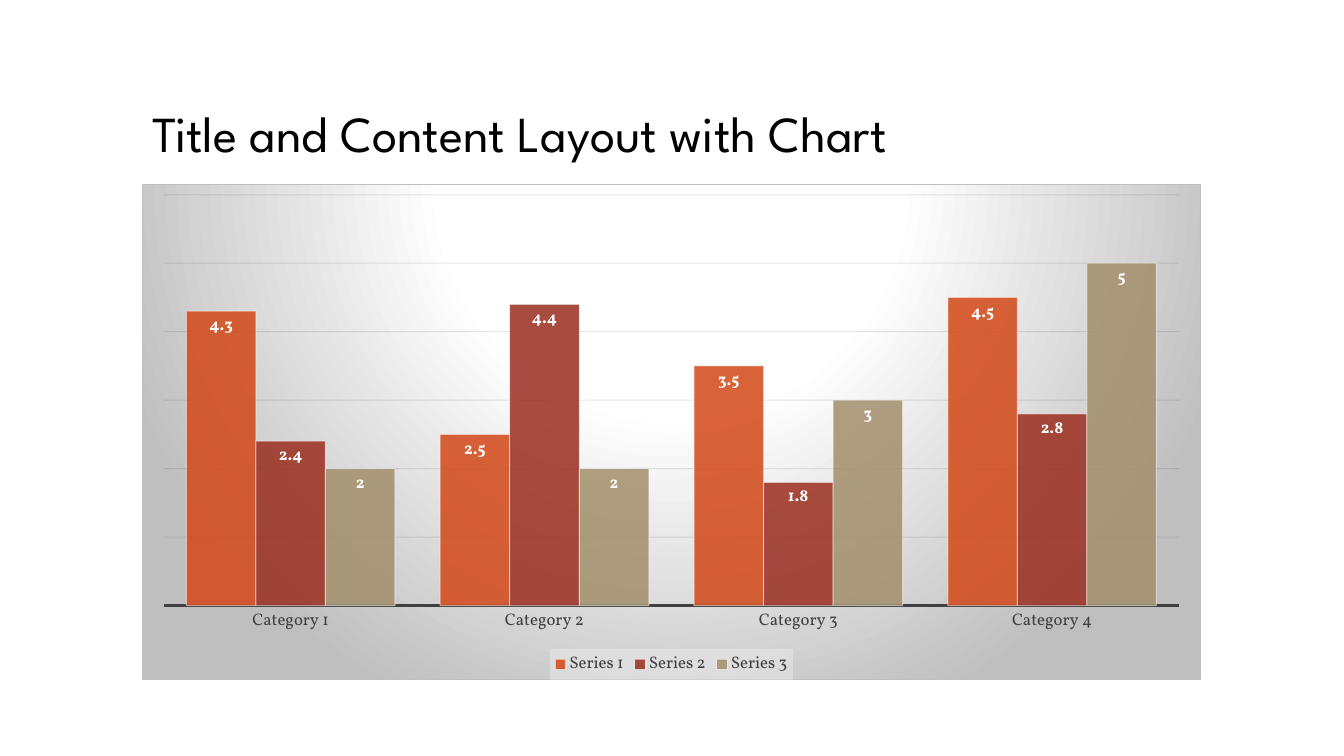
from lxml import etree
from pptx import Presentation
from pptx.chart.data import CategoryChartData
from pptx.dml.color import RGBColor
from pptx.enum.chart import XL_CHART_TYPE, XL_LABEL_POSITION, XL_LEGEND_POSITION, XL_TICK_MARK
from pptx.enum.text import MSO_ANCHOR, PP_ALIGN
from pptx.oxml import parse_xml
from pptx.oxml.ns import nsdecls, qn
from pptx.util import Inches, Pt

COLUMNS = XL_CHART_TYPE.COLUMN_CLUSTERED
INSIDE_END = XL_LABEL_POSITION.INSIDE_END
BOTTOM_LEGEND = XL_LEGEND_POSITION.BOTTOM
NO_TICKS = XL_TICK_MARK.NONE

BLACK = RGBColor(0x00, 0x00, 0x00)
WHITE = RGBColor(0xFF, 0xFF, 0xFF)
GREY = RGBColor(0x40, 0x40, 0x40)
GRID = RGBColor(0x0D, 0x0D, 0x0D)
ORANGE = RGBColor(0xD3, 0x48, 0x17)
RED = RGBColor(0x9B, 0x2D, 0x1F)
TAN = RGBColor(0xA2, 0x8E, 0x6A)

TITLE_FONT = "League Spartan"
CHART_FONT = "Vollkorn"


def set_font(font, size, color, bold=False):
    font.name = CHART_FONT
    font.size = Pt(size)
    font.bold = bold
    font.color.rgb = color


def set_alpha(chart_space, xpath, percent):
    for color in chart_space.xpath(xpath + "/a:solidFill/a:srgbClr"):
        etree.SubElement(color, qn("a:alpha"), val=str(percent * 1000))


prs = Presentation()
prs.slide_width = Inches(13.33)
prs.slide_height = Inches(7.5)
slide = prs.slides.add_slide(prs.slide_layouts[5])

# Title
title = slide.shapes.title
title.left, title.top = Inches(1.41), Inches(0.42)
title.width, title.height = Inches(10.5), Inches(1.25)
title.text_frame.vertical_anchor = MSO_ANCHOR.BOTTOM
heading = title.text_frame.paragraphs[0]
heading.alignment = PP_ALIGN.LEFT
heading.line_spacing = 0.9
heading_run = heading.add_run()
heading_run.text = "Title and Content Layout with Chart"
heading_run.font.name = TITLE_FONT
heading_run.font.size = Pt(36)
heading_run.font.color.rgb = BLACK

# Chart data
data = CategoryChartData()
data.categories = [f"Category {n}" for n in range(1, 5)]
data.add_series("Series 1", (4.3, 2.5, 3.5, 4.5))
data.add_series("Series 2", (2.4, 4.4, 1.8, 2.8))
data.add_series("Series 3", (2, 2, 3, 5))
chart = slide.shapes.add_chart(
    COLUMNS, Inches(1.41), Inches(1.83), Inches(10.5), Inches(4.92), data
).chart
chart.has_title = False
set_font(chart.font, 10, BLACK)

# Columns and value labels
columns = chart.plots[0]
columns.gap_width = 65
columns.overlap = 0
columns.vary_by_categories = False
for series, color in zip(columns.series, (ORANGE, RED, TAN)):
    series.format.fill.solid()
    series.format.fill.fore_color.rgb = color
    series.format.line.color.rgb = WHITE
    series.format.line.width = Pt(0.75)
    labels = series.data_labels
    labels.show_value = True
    labels.position = INSIDE_END
    set_font(labels.font, 12, WHITE, bold=True)

# Axes
categories = chart.category_axis
categories.major_tick_mark = NO_TICKS
categories.minor_tick_mark = NO_TICKS
categories.format.line.color.rgb = GREY
categories.format.line.width = Pt(1.5)
set_font(categories.tick_labels.font, 12, GREY)

values = chart.value_axis
values.minimum_scale, values.maximum_scale, values.major_unit = 0, 6, 1
values.has_major_gridlines = True
values.major_gridlines.format.line.color.rgb = GRID
values.major_gridlines.format.line.width = Pt(0.75)
values.visible = False

# Legend
chart.has_legend = True
legend = chart.legend
legend.position = BOTTOM_LEGEND
legend.include_in_layout = False
set_font(legend.font, 12, GREY)

# Transparency
chart_space = chart.element
set_alpha(chart_space, ".//c:ser/c:spPr", 85)
set_alpha(chart_space, ".//c:ser/c:spPr/a:ln", 50)
set_alpha(chart_space, ".//c:majorGridlines/c:spPr/a:ln", 10)

# Legend panel
legend_panel = parse_xml(
    f'<c:spPr {nsdecls("c", "a")}><a:solidFill><a:srgbClr val="F2F2F2">'
    '<a:alpha val="39000"/></a:srgbClr></a:solidFill></c:spPr>'
)
chart_space.xpath(".//c:legend/c:txPr")[0].addprevious(legend_panel)

# Plot area position
plot_area = chart_space.xpath(".//c:plotArea")[0]
for old_layout in plot_area.findall(qn("c:layout")):
    plot_area.remove(old_layout)
plot_area.insert(0, parse_xml(
    f'<c:layout {nsdecls("c")}><c:manualLayout><c:layoutTarget val="inner"/>'
    '<c:xMode val="edge"/><c:yMode val="edge"/><c:x val="0.02"/><c:y val="0.02"/>'
    '<c:w val="0.96"/><c:h val="0.83"/></c:manualLayout></c:layout>'
))

# Gradient background and border
background = parse_xml(
    f'<c:spPr {nsdecls("c", "a")}><a:gradFill><a:gsLst>'
    '<a:gs pos="0"><a:srgbClr val="FFFFFF"/></a:gs>'
    '<a:gs pos="39000"><a:srgbClr val="FFFFFF"/></a:gs>'
    '<a:gs pos="100000"><a:srgbClr val="BFBFBF"/></a:gs></a:gsLst>'
    '<a:path path="circle"><a:fillToRect l="50000" t="-80000" r="50000" b="180000"/></a:path>'
    '</a:gradFill><a:ln w="9525"><a:solidFill><a:srgbClr val="BFBFBF"/></a:solidFill></a:ln>'
    '</c:spPr>'
)
chart_space.find(qn("c:chart")).addnext(background)

prs.save("out.pptx")
